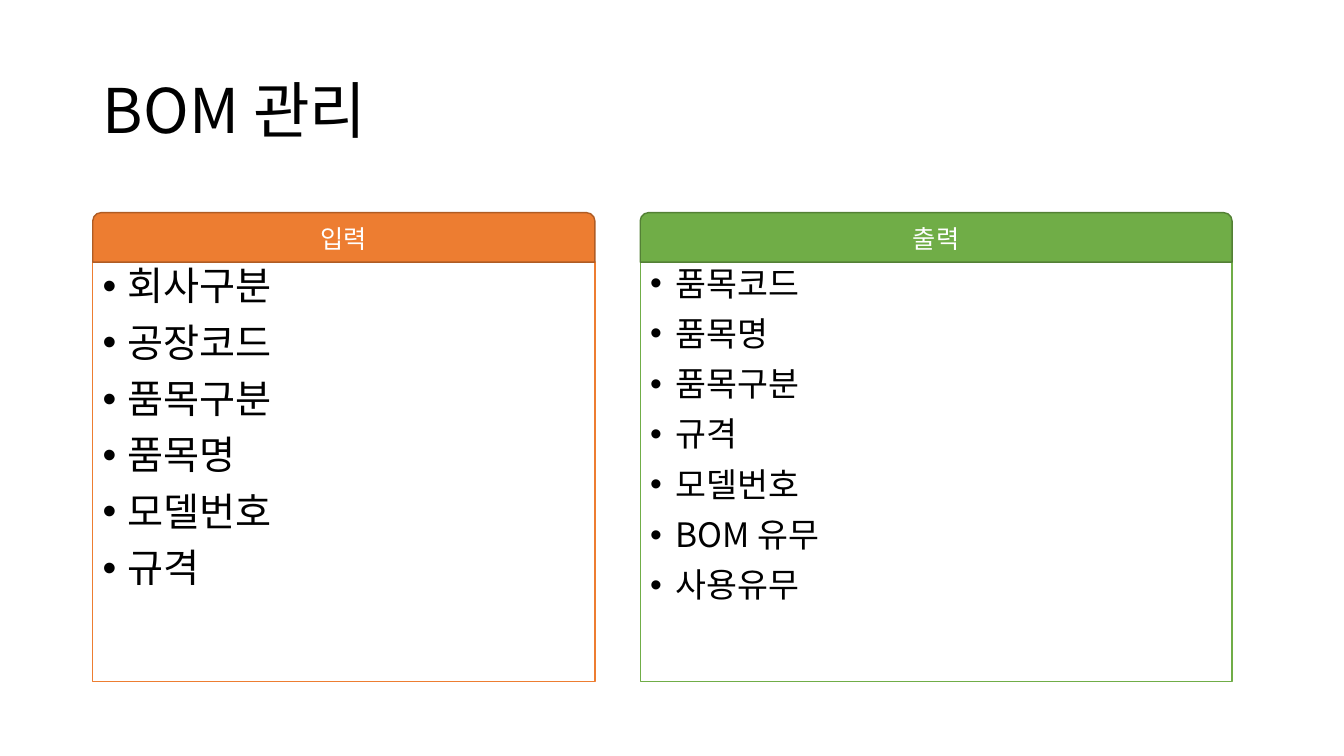
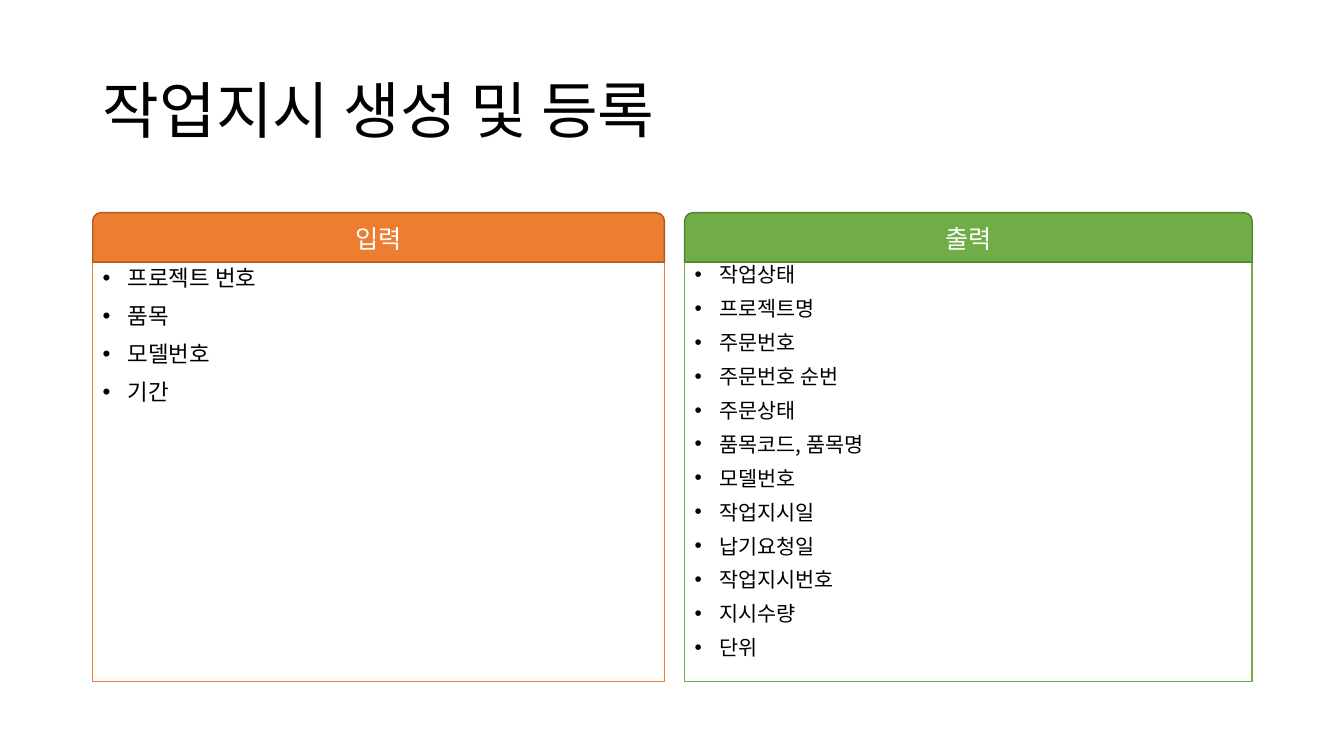
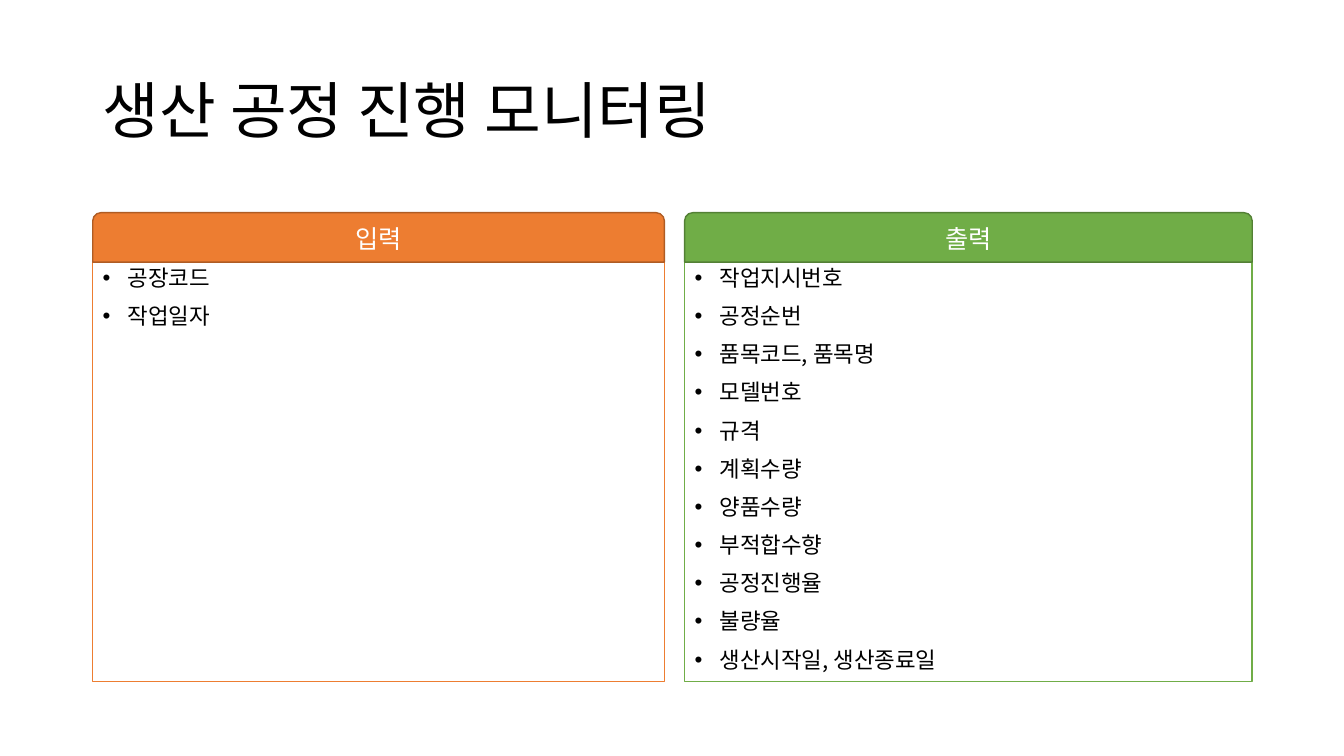
from dataclasses import dataclass

from lxml.etree import SubElement
from pptx import Presentation
from pptx.dml.color import RGBColor
from pptx.enum.shapes import MSO_SHAPE as Shape
from pptx.enum.text import MSO_ANCHOR as Anchor, MSO_AUTO_SIZE as AutoSize, PP_ALIGN as Align
from pptx.oxml.ns import qn
from pptx.util import Inches, Pt


@dataclass(frozen=True)
class Theme:
    font: str = "Noto Sans CJK KR"
    black: str = "000000"
    white: str = "FFFFFF"
    orange: str = "ED7D31"
    dark_orange: str = "AF5C24"
    green: str = "70AD47"
    dark_green: str = "538035"
    title_size: float = 44
    header_size: float = 18
    line_width: float = 1


THEME = Theme()

# Shared layout, in inches
LEFT = 0.92
TITLE_TOP, TITLE_WIDTH, TITLE_HEIGHT = 0.4, 11.5, 1.45
HEADER_TOP, HEADER_HEIGHT = 2.11, 0.49
BODY_TOP, BODY_HEIGHT = HEADER_TOP + HEADER_HEIGHT, 4.16
BULLET_INDENT = 0.25


@dataclass(frozen=True)
class Panel:
    items: list
    left: float
    width: float
    size: float = 16
    line_spacing: float = 0.9


# Title, input panel and output panel of each slide
SLIDES = [
    ("BOM 관리",
     Panel(["회사구분", "공장코드", "품목구분", "품목명", "모델번호", "규격"],
           LEFT, 4.98, size=28),
     Panel(["품목코드", "품목명", "품목구분", "규격", "모델번호", "BOM 유무", "사용유무"],
           6.35, 5.87, size=24)),
    ("작업지시 생성 및 등록",
     Panel(["프로젝트 번호", "품목", "모델번호", "기간"], LEFT, 5.67),
     Panel(["작업상태", "프로젝트명", "주문번호", "주문번호 순번", "주문상태",
            "품목코드, 품목명", "모델번호", "작업지시일", "납기요청일",
            "작업지시번호", "지시수량", "단위"],
           6.79, 5.63, size=14.8, line_spacing=0.8)),
    ("생산 공정 진행 모니터링",
     Panel(["공장코드", "작업일자"], LEFT, 5.67),
     Panel(["작업지시번호", "공정순번", "품목코드, 품목명", "모델번호", "규격",
            "계획수량", "양품수량", "부적합수향", "공정진행율", "불량율",
            "생산시작일, 생산종료일"],
           6.79, 5.63)),
]


def add_bullet(paragraph):
    properties = paragraph._p.get_or_add_pPr()
    properties.set("marL", str(Inches(BULLET_INDENT)))
    properties.set("indent", str(-Inches(BULLET_INDENT)))
    SubElement(properties, qn("a:buFont"), typeface="Arial")
    SubElement(properties, qn("a:buChar"), char="•")


def write_text(shape, lines, *, size, color=THEME.black, align=Align.LEFT,
               anchor=Anchor.MIDDLE, line_spacing=1.0, space_before=0, bullet=False):
    frame = shape.text_frame
    frame.word_wrap = True
    frame.auto_size = AutoSize.NONE
    frame.vertical_anchor = anchor
    for index, line in enumerate(lines):
        paragraph = frame.add_paragraph() if index else frame.paragraphs[0]
        if bullet:
            add_bullet(paragraph)
        paragraph.alignment = align
        paragraph.line_spacing = line_spacing
        paragraph.space_before = Pt(space_before if index else 0)
        run = paragraph.add_run()
        run.text = line
        run.font.size = Pt(size)
        run.font.color.rgb = RGBColor.from_string(color)
        run.font.name = THEME.font
        # Korean glyphs take the East Asian typeface
        SubElement(run.font._element, qn("a:ea"), typeface=THEME.font)


def add_box(slide, kind, left, top, width, height, fill, outline):
    box = slide.shapes.add_shape(kind, Inches(left), Inches(top), Inches(width), Inches(height))
    box.shadow.inherit = False
    box.fill.solid()
    box.fill.fore_color.rgb = RGBColor.from_string(fill)
    box.line.color.rgb = RGBColor.from_string(outline)
    box.line.width = Pt(THEME.line_width)
    return box


def add_title(slide, text):
    title = slide.shapes.title
    title.left, title.top = Inches(LEFT), Inches(TITLE_TOP)
    title.width, title.height = Inches(TITLE_WIDTH), Inches(TITLE_HEIGHT)
    write_text(title, [text], size=THEME.title_size, line_spacing=0.9)


def add_panel(slide, panel, heading, color, dark_color):
    body = add_box(slide, Shape.RECTANGLE, panel.left, BODY_TOP, panel.width, BODY_HEIGHT,
                   THEME.white, color)
    write_text(body, panel.items, size=panel.size, anchor=Anchor.TOP,
               line_spacing=panel.line_spacing, space_before=10, bullet=True)
    header = add_box(slide, Shape.ROUND_2_SAME_RECTANGLE, panel.left, HEADER_TOP,
                     panel.width, HEADER_HEIGHT, color, dark_color)
    write_text(header, [heading], size=THEME.header_size, color=THEME.white, align=Align.CENTER)


def main():
    deck = Presentation()
    deck.slide_width, deck.slide_height = Inches(13.33), Inches(7.5)
    title_only = deck.slide_layouts[5]
    for title, inputs, outputs in SLIDES:
        slide = deck.slides.add_slide(title_only)
        add_title(slide, title)
        add_panel(slide, inputs, "입력", THEME.orange, THEME.dark_orange)
        add_panel(slide, outputs, "출력", THEME.green, THEME.dark_green)
    deck.save("out.pptx")


if __name__ == "__main__":
    main()
